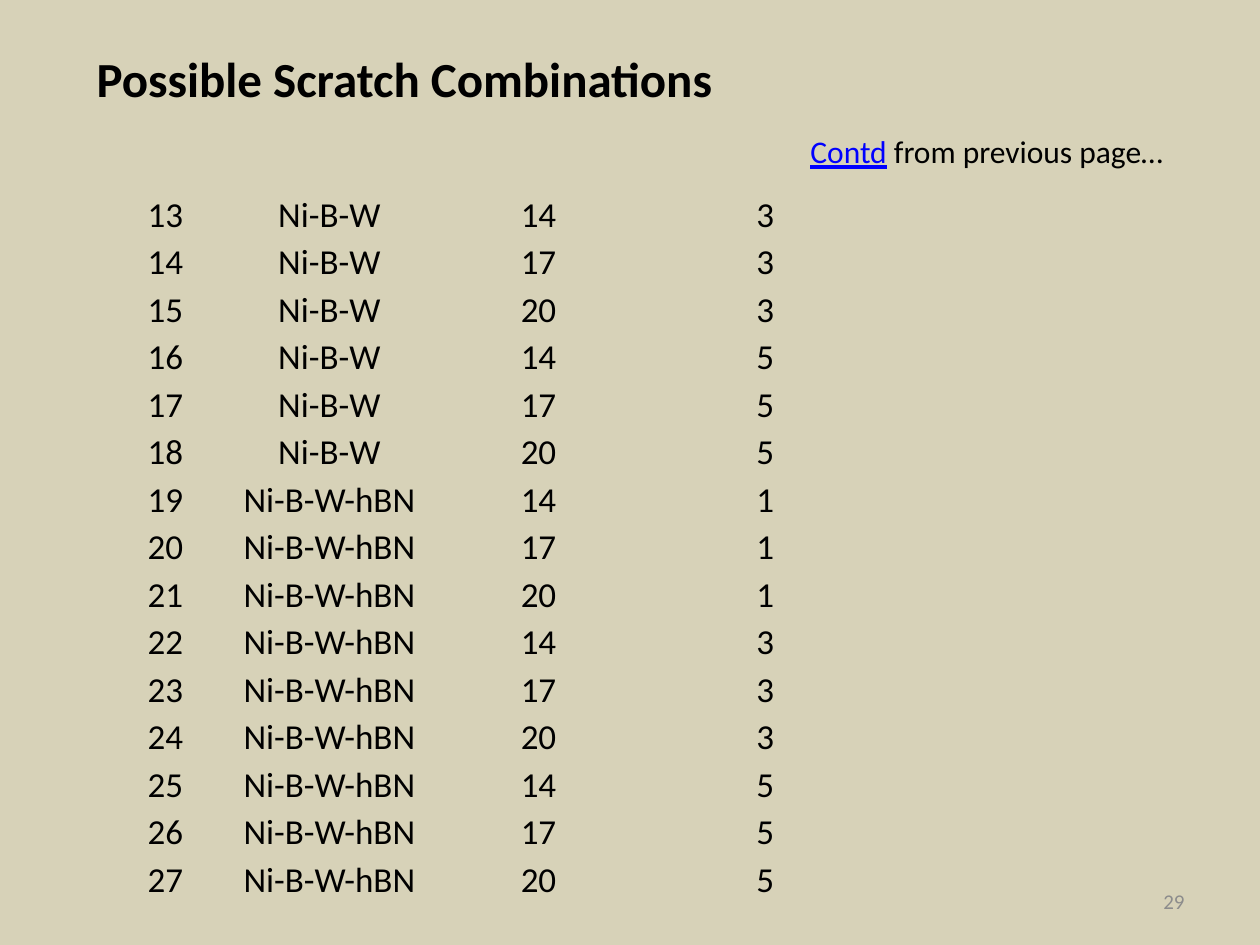
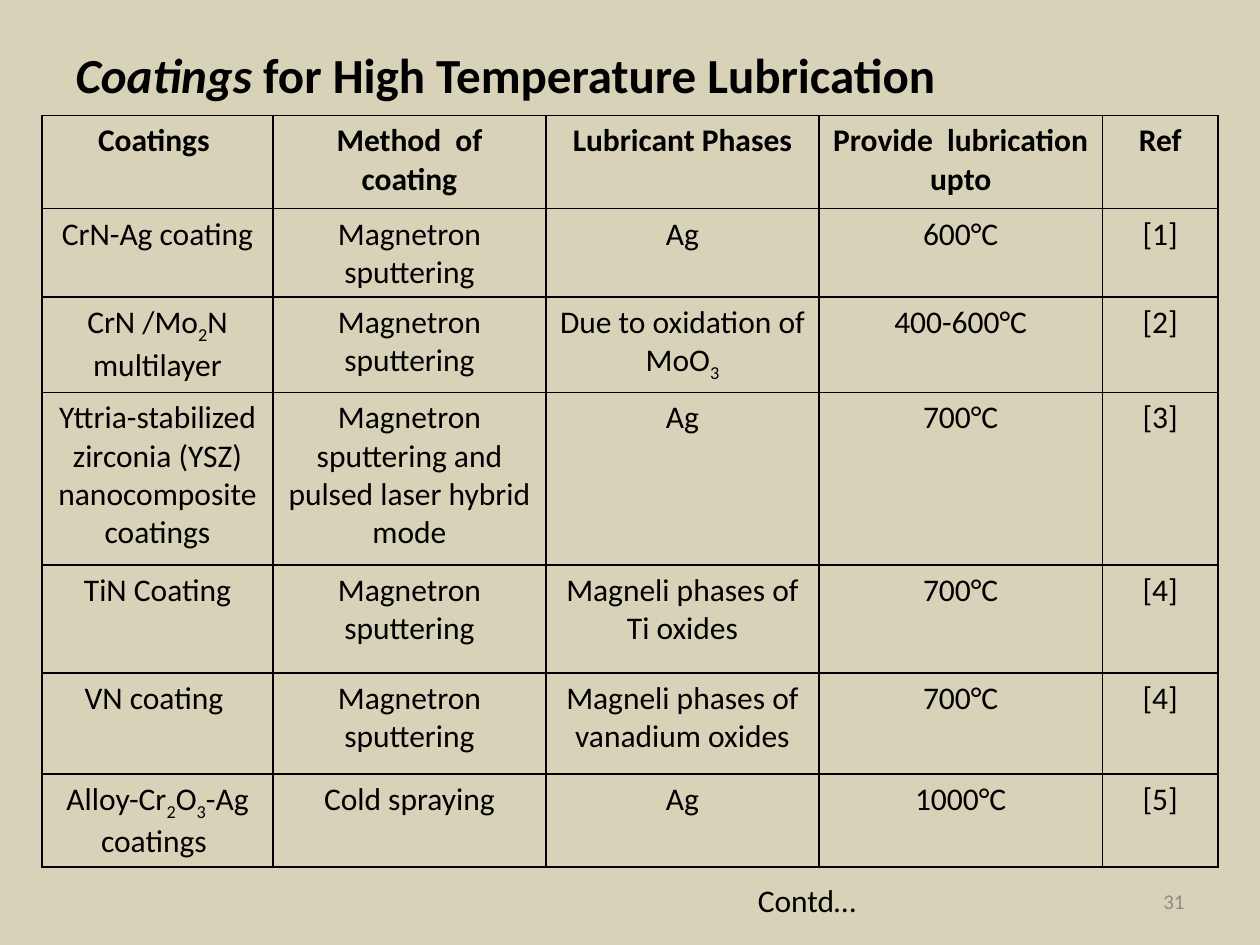
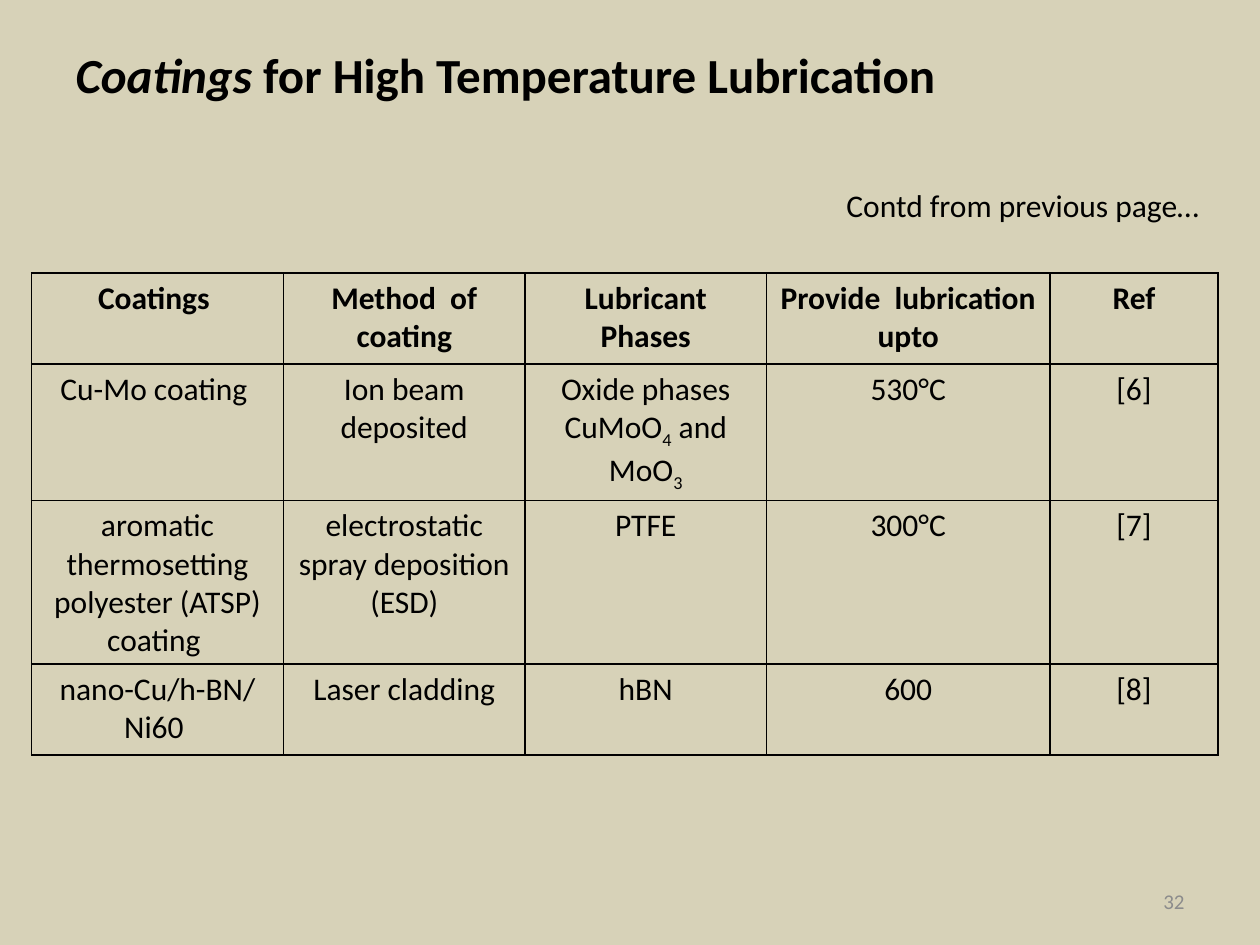
from itertools import product

from lxml.etree import SubElement
from pptx import Presentation
from pptx.dml.color import RGBColor
from pptx.enum.text import MSO_ANCHOR, MSO_AUTO_SIZE, PP_ALIGN
from pptx.oxml.ns import qn
from pptx.util import Pt

# Shared style
FONT = "Calibri"
BLACK = RGBColor(0x00, 0x00, 0x00)
GREY = RGBColor(0x8C, 0x8C, 0x8C)
LINK_BLUE = RGBColor(0x00, 0x00, 0xFF)
SAND = RGBColor(0xD7, 0xD2, 0xB8)
TITLE_ONLY = 5

HEADER = ("Coatings ", "Method  of coating", "Lubricant Phases",
          "Provide  lubrication upto", "Ref")


def write(paragraph, text, size=18, color=BLACK, bold=False, italic=False,
          underline=False, align=None):
    """Add text to a paragraph; the character after each "_" is a subscript."""
    if align is not None:
        paragraph.alignment = align
    first, *others = text.split("_")
    pieces = [(first, False)]
    for other in others:
        pieces += [(other[0], True), (other[1:], False)]
    for piece, is_subscript in pieces:
        if not piece:
            continue
        run = paragraph.add_run()
        run.text = piece
        font = run.font
        font.name, font.size, font.color.rgb = FONT, Pt(size), color
        font.bold, font.italic, font.underline = bold, italic, underline
        if is_subscript:
            run._r.get_or_add_rPr().set("baseline", "-25000")


def set_borders(cell, color):
    """Draw all four cell borders, or none when color is None."""
    properties = cell._tc.get_or_add_tcPr()
    for side in ("a:lnL", "a:lnR", "a:lnT", "a:lnB"):
        line = SubElement(properties, qn(side), w=str(Pt(1)))
        if color is None:
            SubElement(line, qn("a:noFill"))
        else:
            fill = SubElement(line, qn("a:solidFill"))
            SubElement(fill, qn("a:srgbClr"), val=str(color))


class Deck:
    def __init__(self):
        self.presentation = Presentation()
        self.presentation.slide_width = Pt(720)
        self.presentation.slide_height = Pt(540)
        background = self.presentation.slide_master.background.fill
        background.solid()
        background.fore_color.rgb = SAND
        self.slide = None

    def add_slide(self, number):
        layout = self.presentation.slide_layouts[TITLE_ONLY]
        self.slide = self.presentation.slides.add_slide(layout)
        paragraph = self.text_box(516, 500.5, 168, 28.8, MSO_ANCHOR.MIDDLE)
        write(paragraph, str(number), size=12, color=GREY, align=PP_ALIGN.RIGHT)

    def title(self, left, top, width, height, text, emphasis=""):
        shape = self.slide.shapes.title
        shape.left, shape.top = Pt(left), Pt(top)
        shape.width, shape.height = Pt(width), Pt(height)
        frame = shape.text_frame
        frame.auto_size = MSO_AUTO_SIZE.NONE
        frame.vertical_anchor = MSO_ANCHOR.TOP
        paragraph = frame.paragraphs[0]
        write(paragraph, emphasis, size=28, bold=True, italic=True)
        write(paragraph, text, size=28, bold=True, align=PP_ALIGN.LEFT)

    def text_box(self, left, top, width, height, anchor=MSO_ANCHOR.TOP):
        shape = self.slide.shapes.add_textbox(Pt(left), Pt(top), Pt(width), Pt(height))
        frame = shape.text_frame
        frame.word_wrap = True
        frame.vertical_anchor = anchor
        return frame.paragraphs[0]

    def table(self, left, top, widths, heights, rows, size=18, border=BLACK,
              has_header=True, anchor=MSO_ANCHOR.TOP, margins=(7.2, 3.6, 7.2, 3.6)):
        table = self.slide.shapes.add_table(
            len(rows), len(widths), Pt(left), Pt(top),
            Pt(sum(widths)), Pt(sum(heights))).table
        table.first_row = has_header
        table.horz_banding = False
        for column, width in zip(table.columns, widths):
            column.width = Pt(width)
        for row_index, (row, height) in enumerate(zip(rows, heights)):
            table.rows[row_index].height = Pt(height)
            for column_index, text in enumerate(row):
                cell = table.cell(row_index, column_index)
                set_borders(cell, border)
                cell.fill.background()
                cell.vertical_anchor = anchor
                (cell.margin_left, cell.margin_top,
                 cell.margin_right, cell.margin_bottom) = map(Pt, margins)
                write(cell.text_frame.paragraphs[0], str(text), size=size,
                      bold=has_header and row_index == 0, align=PP_ALIGN.CENTER)

    def coatings_slide(self, number, left, top, widths, heights, rows):
        self.add_slide(number)
        self.title(36, 21.6, 648, 90, " for High Temperature Lubrication",
                   emphasis="Coatings")
        self.table(left, top, widths, heights, [HEADER, *rows])


def main():
    deck = Deck()

    # Scratch combinations 13 to 27
    deck.add_slide(29)
    deck.title(48, 24, 642, 47.5, "Possible Scratch Combinations")
    levels = product(("Ni-B-W ", "Ni-B-W-hBN "), (1, 3, 5), (14, 17, 20))
    combinations = [(number, coating, inner, outer) for number, (coating, outer, inner)
                    in enumerate(levels, start=10) if number >= 13]
    deck.table(60, 108, (69, 123, 111.5, 147.5), [27.17] * len(combinations),
               combinations, size=20, border=None, has_header=False,
               anchor=MSO_ANCHOR.BOTTOM, margins=(0.7, 0.7, 0.7, 0))
    continued = deck.text_box(456, 72, 234, 29)
    write(continued, "Contd", color=LINK_BLUE, underline=True)
    write(continued, " from previous page…")

    # Coatings, first part
    sputtering = "Magnetron sputtering"
    deck.coatings_slide(
        31, 24, 66, (132, 156, 156, 162, 66), (53.3, 50, 54.5, 98.6, 61.8, 57.6, 53),
        [
            (" CrN-Ag coating ", sputtering, "Ag", "600°C", "[1]"),
            ("CrN /Mo_2N multilayer", sputtering, "Due to oxidation of MoO_3",
             "400-600°C", "[2]"),
            ("Yttria-stabilized zirconia (YSZ) nanocomposite coatings",
             "Magnetron sputtering and pulsed laser hybrid mode", "Ag", "700°C", "[3]"),
            ("TiN Coating", sputtering, "Magneli phases of Ti oxides", "700°C", "[4]"),
            ("VN coating ", sputtering, "Magneli phases of vanadium oxides",
             "700°C", "[4]"),
            ("Alloy-Cr_2O_3-Ag coatings ", "Cold spraying", "Ag", "1000°C", "[5]"),
        ])
    write(deck.text_box(426, 499.7, 78, 29), "Contd…")

    # Coatings, second part
    deck.coatings_slide(
        32, 18, 156, (144, 138, 138, 162, 96), (52, 77.5, 93.5, 52),
        [
            ("Cu-Mo coating ", "Ion beam deposited",
             "Oxide phases CuMoO_4 and MoO_3", "530°C", "[6]"),
            ("aromatic thermosetting polyester (ATSP) coating ",
             "electrostatic spray deposition (ESD)", "PTFE", "300°C", "[7]"),
            ("nano-Cu/h-BN/Ni60 ", "Laser cladding", "hBN", "600", "[8]"),
        ])
    write(deck.text_box(476.6, 103, 234, 29), "Contd from previous page…")

    deck.presentation.save("out.pptx")


if __name__ == "__main__":
    main()
